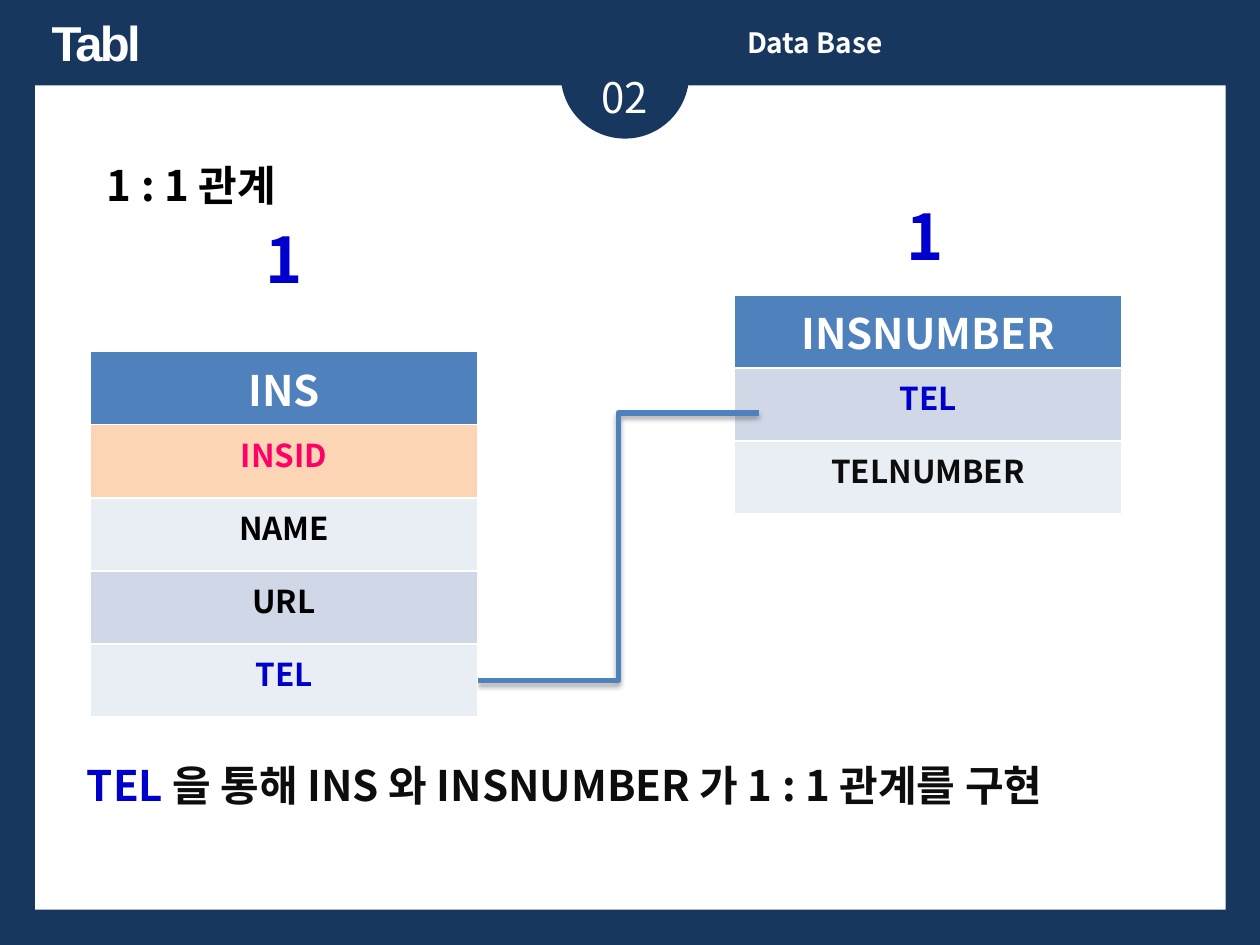
from lxml import etree
from pptx import Presentation
from pptx.dml.color import RGBColor
from pptx.enum import shapes, text
from pptx.oxml import ns
from pptx.util import Pt

NAVY = RGBColor(0x17, 0x37, 0x5E)
WHITE = RGBColor(0xFF, 0xFF, 0xFF)
BLACK = RGBColor(0, 0, 0)
INK = RGBColor(0x0D, 0x0D, 0x0D)
BLUE = RGBColor(0, 0, 0xCC)
PINK = RGBColor(0xFF, 0, 0x66)
STEEL = RGBColor(0x4F, 0x81, 0xBD)
PEACH = RGBColor(0xFC, 0xD5, 0xB5)
DARK = RGBColor(0xD0, 0xD8, 0xE8)
LIGHT = RGBColor(0xE9, 0xED, 0xF4)
SANS, KOREAN = "Arial", "Noto Sans CJK KR"
LEFT, MID, JUST = (text.PP_ALIGN.LEFT, text.PP_ALIGN.CENTER,
                   text.PP_ALIGN.JUSTIFY)

# Content: box, alignment, size, bold, runs of (words, colour)
LABELS = [
    ((314.6, 37.4, 85, 36), MID, 24, False, [("02", WHITE)]),
    ((419.8, 10.8, 283.7, 26.6), JUST, 16, True, [("Data Base", WHITE)]),
    ((54, 87.8, 136, 36), LEFT, 24, True, [("1 : 1 관계", BLACK)]),
    ((42.5, 430.6, 646.6, 36), LEFT, 24, True,
     [("TEL ", BLUE), ("을 통해 INS 와 INSNUMBER 가 1 : 1 관계를 구현", INK)]),
    ((144.7, 122.4, 39.6, 51), LEFT, 36, True, [("1", BLUE)]),
    ((511.2, 109.4, 38.2, 51), LEFT, 36, True, [("1", BLUE)]),
]
# Rows: words, text colour, fill
NUMBER = [("INSNUMBER", WHITE, STEEL), ("TEL", BLUE, DARK),
          ("TELNUMBER", INK, LIGHT)]
INS = [("INS", WHITE, STEEL), ("INSID", PINK, PEACH), ("NAME", BLACK, LIGHT),
       ("URL", BLACK, DARK), ("TEL", BLUE, LIGHT)]
WIDE, ROW = 221, 41.8

deck = Presentation()
deck.slide_width, deck.slide_height = Pt(720), Pt(540)
slide = deck.slides.add_slide(deck.slide_layouts[6])
slide.background.fill.solid()
slide.background.fill.fore_color.rgb = NAVY


def add_panel(kind, box, color):
    shape = slide.shapes.add_shape(kind, *map(Pt, box))
    shape.shadow.inherit = False
    shape.fill.solid()
    shape.fill.fore_color.rgb = color
    shape.line.fill.background()


def style(para, align, size, bold, color, face=KOREAN):
    para.alignment = align
    font = para.font
    font.size, font.bold, font.name = Pt(size), bold, face
    font.color.rgb = color
    east = etree.SubElement(font._element, ns.qn("a:ea"))
    east.set("typeface", face)


def add_label(box, align, size, bold, runs, face=KOREAN, wrap=True):
    frame = slide.shapes.add_textbox(*map(Pt, box)).text_frame
    frame.word_wrap = wrap
    frame.auto_size = text.MSO_AUTO_SIZE.SHAPE_TO_FIT_TEXT
    para = frame.paragraphs[0]
    style(para, align, size, bold, runs[0][1], face)
    for words, color in runs:
        run = para.add_run()
        run.text = words
        if len(runs) > 1:
            run.font.color.rgb = color
    return para


def add_grid(left, top, rows):
    grid = slide.shapes.add_table(len(rows), 1, Pt(left), Pt(top), Pt(WIDE),
                                  Pt(ROW * len(rows))).table
    for i, (words, color, fill) in enumerate(rows):
        grid.rows[i].height = Pt(ROW)
        cell = grid.cell(i, 0)
        cell.text = words
        cell.fill.solid()
        cell.fill.fore_color.rgb = fill
        style(cell.text_frame.paragraphs[0], MID, 18 if i else 24, True, color)


# White page and number tab
add_panel(shapes.MSO_SHAPE.RECTANGLE, (20, 48.8, 680.4, 471), WHITE)
add_panel(shapes.MSO_SHAPE.OVAL, (320.4, 5.8, 73.4, 73.4), NAVY)

# Title with tight letters, then the other labels
title = add_label((15.8, 3.6, 77, 41), MID, 28, True, [("Table", WHITE)],
                  SANS, False)
title.runs[0]._r.get_or_add_rPr().set("spc", "-150")
for label in LABELS:
    add_label(*label)

# Tables and the link between their TEL rows
add_grid(419.8, 168.5, NUMBER)
link = slide.shapes.add_connector(shapes.MSO_CONNECTOR.ELBOW, Pt(272.9),
                                  Pt(388.9), Pt(433.6), Pt(236))
link.line.color.rgb = STEEL
link.line.width = Pt(3)
effects = etree.SubElement(link._element.spPr, ns.qn("a:effectLst"))
shade = etree.SubElement(effects, ns.qn("a:outerShdw"), blurRad=str(Pt(3.1)),
                         dist=str(Pt(1.8)), dir="5400000", rotWithShape="0")
tint = etree.SubElement(shade, ns.qn("a:srgbClr"), val="000000")
etree.SubElement(tint, ns.qn("a:alpha"), val="35000")
add_grid(51.8, 200.9, INS)

deck.save("out.pptx")
